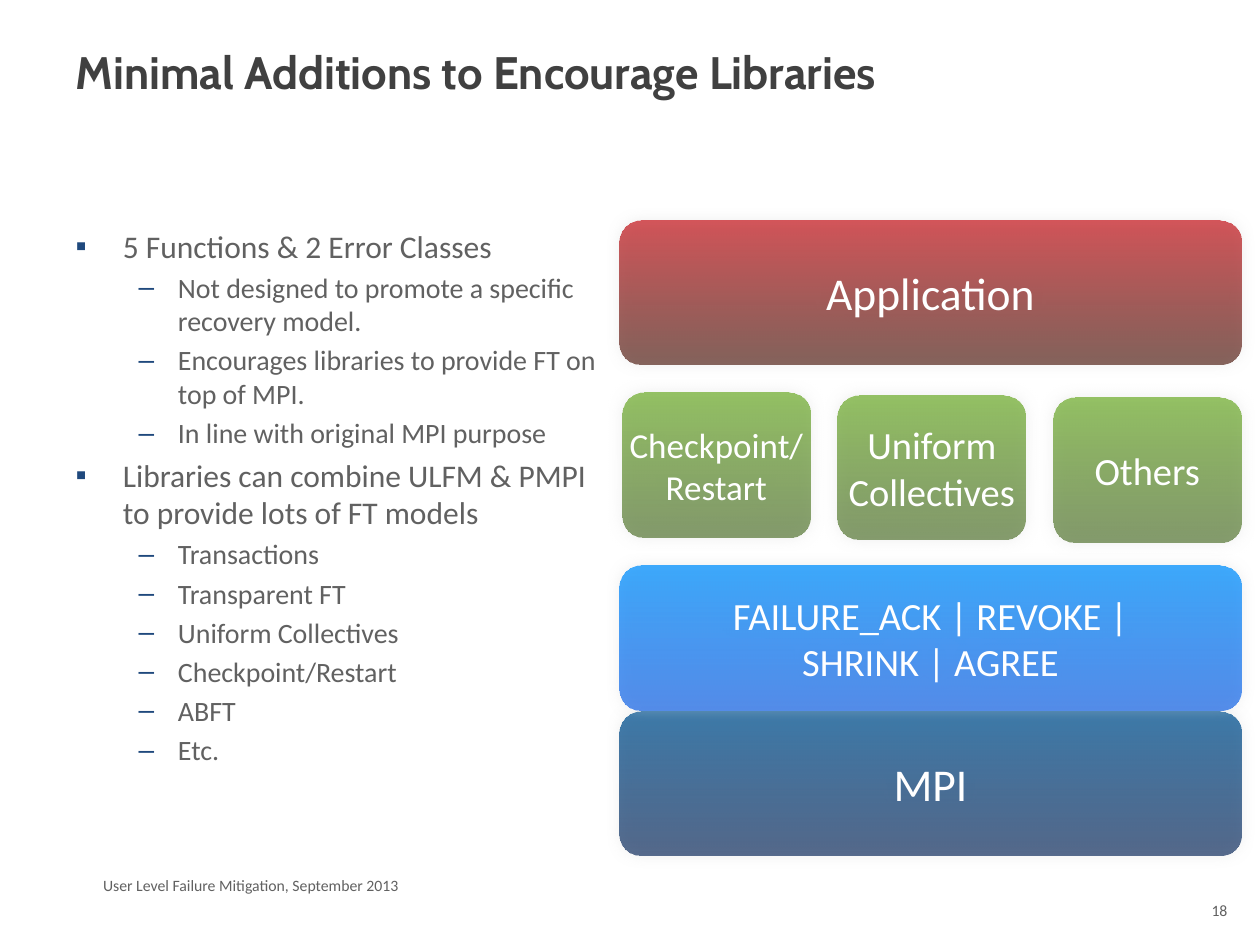
from lxml import etree
from pptx import Presentation
from pptx import util as u
from pptx.dml.color import RGBColor
from pptx.enum import shapes, text
from pptx.oxml.ns import qn

Pt = u.Pt
GREY, WHITE, NAVY = "616161", "FFFFFF", "1F497D"
RED, GREEN = ("C82026", "49160B"), ("74B034", "496C25")
SKY, DEEP = ("0090FF", "0057E5"), ("005291", "002054")
STOP_ALPHAS = (75, 65)

POINTS = [
    (0, "5 Functions & 2 Error Classes"),
    (1, "Not designed to promote a specific recovery model."),
    (1, "Encourages libraries to provide FT on top of MPI."),
    (1, "In line with original MPI purpose"),
    (0, "Libraries can combine ULFM & PMPI to provide lots of FT models"),
    (1, "Transactions"),
    (1, "Transparent FT"),
    (1, "Uniform Collectives"),
    (1, "Checkpoint/Restart"),
    (1, "ABFT"),
    (1, "Etc."),
]
# Per level: bullet, left margin, hanging indent, text size
LEVELS = [("▪", 27, 27, 18), ("–", 58.5, 22.5, 16)]
LIBRARIES = [(["Checkpoint/Restart"], 20), (["Uniform", "Collectives"], 22), (["Others"], 22)]


def color(value):
    return RGBColor.from_string(value)


def place(shape, box):
    shape.left, shape.top, shape.width, shape.height = map(Pt, box)


def add_span(para, words, size, value=GREY, font="Calibri", bold=False):
    span = para.add_run()
    span.text = words
    span.font.size, span.font.name, span.font.bold = Pt(size), font, bold
    span.font.color.rgb = color(value)


def set_bullet(para, mark, margin, hanging):
    props = para._p.get_or_add_pPr()
    props.set("marL", str(Pt(margin)))
    props.set("indent", str(-Pt(hanging)))
    tint = etree.SubElement(props, qn("a:buClr"))
    etree.SubElement(tint, qn("a:srgbClr"), val=NAVY)
    etree.SubElement(props, qn("a:buFont"), typeface="Arial")
    etree.SubElement(props, qn("a:buChar"), char=mark)


def fill_title(page, box):
    title = page.shapes.title
    place(title, box)
    frame = title.text_frame
    frame.auto_size = text.MSO_AUTO_SIZE.NONE
    frame.vertical_anchor = text.MSO_ANCHOR.TOP
    para = frame.paragraphs[0]
    para.alignment = text.PP_ALIGN.LEFT
    add_span(para, "Minimal Additions to Encourage Libraries", 26, "404040", "Cabin", True)


def fill_points(page, box):
    body = page.placeholders[1]
    place(body, box)
    frame = body.text_frame
    frame.auto_size = text.MSO_AUTO_SIZE.NONE
    frame.vertical_anchor = text.MSO_ANCHOR.TOP
    for index, (level, words) in enumerate(POINTS):
        para = frame.add_paragraph() if index else frame.paragraphs[0]
        mark, margin, hanging, size = LEVELS[level]
        para.level = level
        set_bullet(para, mark, margin, hanging)
        para.space_before = Pt(0.2 * size if index else 0)
        add_span(para, words, size)


def add_note(page, box, words, align):
    note = page.shapes.add_textbox(*map(Pt, box))
    note.text_frame.word_wrap = True
    para = note.text_frame.paragraphs[0]
    para.alignment = align
    add_span(para, words, 9)


def add_glow(shape):
    shape.shadow.inherit = False
    effects = shape._element.spPr.find(qn("a:effectLst"))
    glow = etree.SubElement(effects, qn("a:outerShdw"), blurRad=str(Pt(8)), dist="0",
                            dir="0", rotWithShape="0")
    tint = etree.SubElement(glow, qn("a:srgbClr"), val="D2D2D2")
    etree.SubElement(tint, qn("a:alpha"), val="50000")


def add_block(group, box, lines, size, gradient):
    block = group.shapes.add_shape(shapes.MSO_SHAPE.ROUNDED_RECTANGLE, *map(Pt, box))
    block.adjustments[0] = 0.15
    block.fill.gradient()
    block.fill.gradient_angle = 270
    for stop, value, alpha in zip(block.fill.gradient_stops, gradient, STOP_ALPHAS):
        stop.color.rgb = color(value)
        tint = stop._gs.find(qn("a:srgbClr"))
        etree.SubElement(tint, qn("a:alpha"), val=str(alpha * 1000))
    block.line.fill.background()
    add_glow(block)
    frame = block.text_frame
    frame.margin_left = frame.margin_right = frame.margin_top = frame.margin_bottom = 0
    frame.word_wrap = True
    frame.vertical_anchor = text.MSO_ANCHOR.MIDDLE
    for index, words in enumerate(lines):
        para = frame.add_paragraph() if index else frame.paragraphs[0]
        para.alignment = text.PP_ALIGN.CENTER
        add_span(para, words, size, WHITE)


def add_stack(page, box):
    """Software layers from MPI at the bottom up to the application."""
    left, top, width, height = box
    layer, library, inset, step = 82.4, 107.4, 1.4, 1.4
    group = page.shapes.add_group_shape()
    add_block(group, (left, top + height - layer, width, layer), ["MPI"], 26, DEEP)
    pitch = (width - inset - library) / (len(LIBRARIES) - 1)
    for index, (lines, size) in enumerate(LIBRARIES):
        spot = (left + inset + index * pitch, top + 98.6 + index * step, library, layer)
        add_block(group, spot, lines, size, GREEN)
    add_block(group, (left, top, width, layer), ["Application"], 26, RED)
    add_block(group, (left, top + height - 2 * layer - 0.8, width, layer),
              ["FAILURE_ACK | REVOKE |", "SHRINK | AGREE"], 22, SKY)


def main():
    deck = Presentation()
    deck.slide_width, deck.slide_height = Pt(720), Pt(540)
    page = deck.slides.add_slide(deck.slide_layouts[1])
    fill_title(page, (36, 21.6, 648, 90))
    fill_points(page, (36, 126, 318.24, 356.4))
    add_note(page, (51.84, 496.8, 468, 18), "User Level Failure Mitigation, September 2013",
             text.PP_ALIGN.LEFT)
    add_note(page, (678.24, 511.2, 30.24, 28.8), "18", text.PP_ALIGN.RIGHT)
    add_stack(page, (354.24, 126, 355, 363))
    deck.save("out.pptx")


if __name__ == "__main__":
    main()
